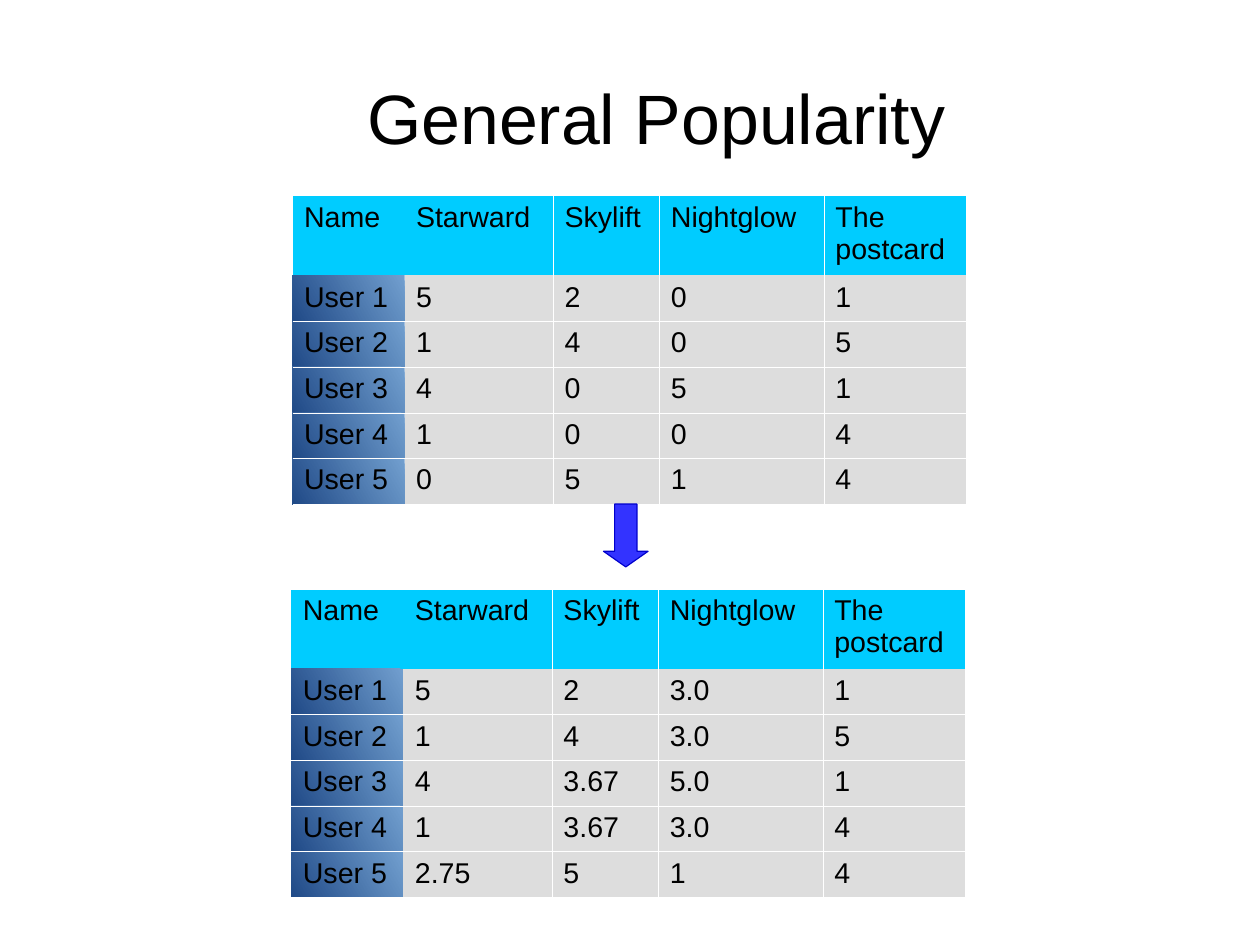
import dataclasses

import lxml.etree
import pptx
import pptx.dml.color
import pptx.enum.shapes
import pptx.enum.text
import pptx.oxml.ns
import pptx.util

Inches = pptx.util.Inches
Pt = pptx.util.Pt
qn = pptx.oxml.ns.qn
rgb = pptx.dml.color.RGBColor.from_string


@dataclasses.dataclass(frozen=True)
class Theme:
    font: str = "Arial"
    title_size: int = 44
    cell_size: int = 18
    text: str = "000000"
    header: str = "00CCFF"
    body: str = "DDDDDD"
    user_light: str = "729FCF"
    user_dark: str = "204A87"
    border: str = "FFFFFF"
    arrow: str = "3333FF"
    arrow_line: str = "0000CC"


theme = Theme()


def set_font(paragraph, size):
    paragraph.font.name = theme.font
    paragraph.font.size = Pt(size)
    paragraph.font.color.rgb = rgb(theme.text)


def set_borders(cell, visible_sides):
    """Draw hairlines on the visible sides and clear the others."""
    properties = cell._tc.get_or_add_tcPr()
    for position, side in enumerate(("lnL", "lnR", "lnT", "lnB")):
        line = lxml.etree.Element(qn(f"a:{side}"), w="720")
        if side in visible_sides:
            fill = lxml.etree.SubElement(line, qn("a:solidFill"))
            lxml.etree.SubElement(fill, qn("a:srgbClr"), val=theme.border)
        else:
            lxml.etree.SubElement(line, qn("a:noFill"))
        properties.insert(position, line)


deck = pptx.Presentation()
deck.slide_width = pptx.util.Cm(28)
deck.slide_height = pptx.util.Cm(21)
page = deck.slides.add_slide(deck.slide_layouts[5])

title = page.shapes.title
title.left, title.top = Inches(0.55), Inches(0.33)
title.width, title.height = Inches(9.92), Inches(1.38)
frame = title.text_frame
frame.text = "General Popularity"
frame.vertical_anchor = pptx.enum.text.MSO_ANCHOR.MIDDLE
frame.margin_left = frame.margin_right = frame.margin_top = frame.margin_bottom = 0
heading = frame.paragraphs[0]
heading.alignment = pptx.enum.text.PP_ALIGN.CENTER
heading._p.get_or_add_pPr().set("marL", str(Inches(0.47)))
set_font(heading, theme.title_size)

headers = ["Name", "Starward", "Skylift", "Nightglow", "The postcard"]
column_widths = [0.98, 1.3, 0.93, 1.44, 1.24]
row_heights = [0.7] + [0.4] * 5
ratings = [
    ["5", "2", "0", "1"],
    ["1", "4", "0", "5"],
    ["4", "0", "5", "1"],
    ["1", "0", "0", "4"],
    ["0", "5", "1", "4"],
]
filled_ratings = [
    ["5", "2", "3.0", "1"],
    ["1", "4", "3.0", "5"],
    ["4", "3.67", "5.0", "1"],
    ["1", "3.67", "3.0", "4"],
    ["2.75", "5", "1", "4"],
]

for left, top, scores in ((2.56, 1.71, ratings), (2.55, 5.15, filled_ratings)):
    rows = [headers] + [[f"User {n}", *row] for n, row in enumerate(scores, 1)]
    table = page.shapes.add_table(
        len(rows), len(headers), Inches(left), Inches(top),
        Inches(sum(column_widths)), Inches(sum(row_heights))).table
    table.first_row = table.horz_banding = False
    for column, width in zip(table.columns, column_widths):
        column.width = Inches(width)
    for row, height in zip(table.rows, row_heights):
        row.height = Inches(height)

    for r, values in enumerate(rows):
        for c, value in enumerate(values):
            cell = table.cell(r, c)
            cell.text = value
            set_font(cell.text_frame.paragraphs[0], theme.cell_size)
            if r > 0 and c == 0:
                cell.fill.gradient()
                cell.fill.gradient_angle = 210
                for stop, color in zip(cell.fill.gradient_stops,
                                       (theme.user_light, theme.user_dark)):
                    stop.color.rgb = rgb(color)
            else:
                cell.fill.solid()
                cell.fill.fore_color.rgb = rgb(theme.body if r else theme.header)

            sides = {"lnL", "lnR", "lnT", "lnB"}
            if r == 0:
                sides.discard("lnB")
            if r == 1:
                sides.discard("lnT")
            if c == 0:
                sides -= {"lnL", "lnR"}
            if c == 1:
                sides.discard("lnL")
            set_borders(cell, sides)

arrow = page.shapes.add_shape(
    pptx.enum.shapes.MSO_SHAPE.DOWN_ARROW,
    Inches(5.28), Inches(4.41), Inches(0.39), Inches(0.55))
arrow.adjustments[0], arrow.adjustments[1] = 0.5, 0.35
arrow.shadow.inherit = False
arrow.fill.solid()
arrow.fill.fore_color.rgb = rgb(theme.arrow)
arrow.line.color.rgb = rgb(theme.arrow_line)
arrow.line.width = Pt(0)

deck.save("out.pptx")
